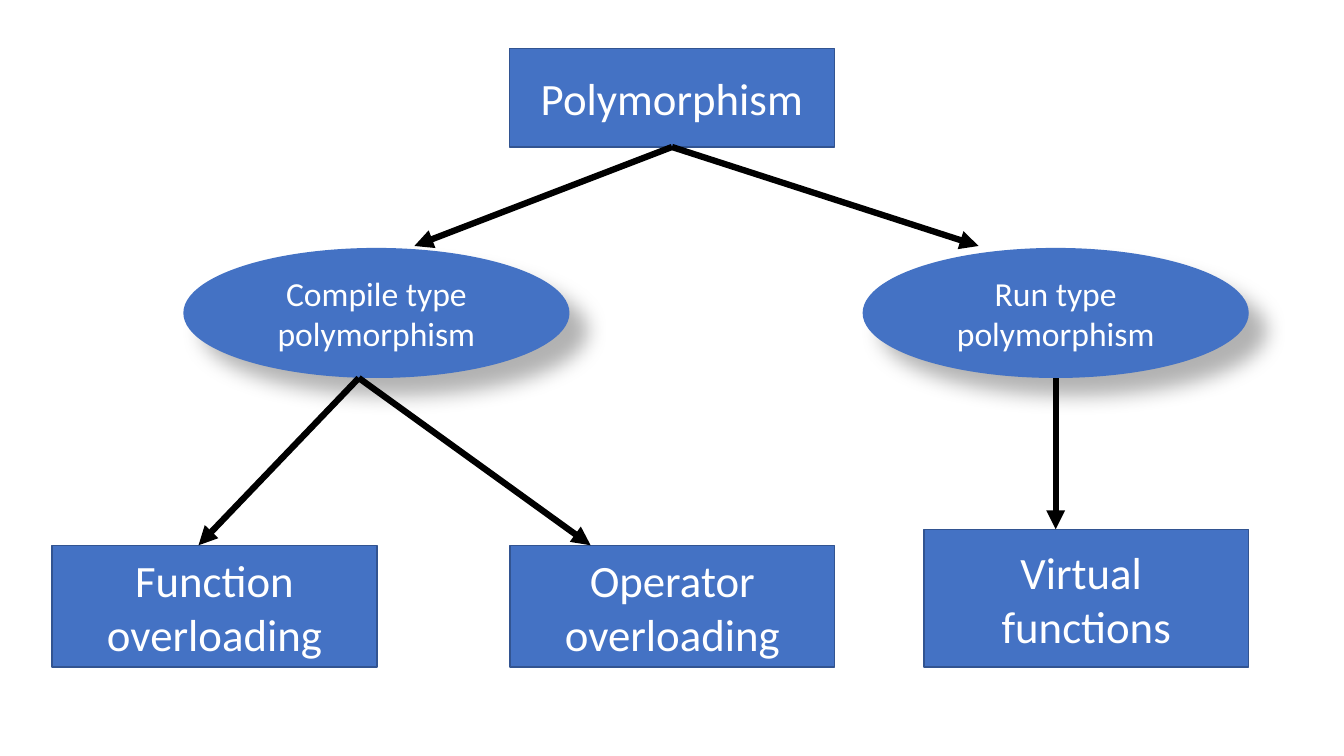
import pptx
import pptx.util
import pptx.dml.color
import pptx.enum.shapes
import pptx.enum.text
import pptx.oxml

Pt = pptx.util.Pt
Kind = pptx.enum.shapes.MSO_SHAPE
NS = 'xmlns:a="http://schemas.openxmlformats.org/drawingml/2006/main"'
SHADE = (
    f'<a:effectLst {NS}><a:outerShdw blurRad="{Pt(15)}" dist="{Pt(18)}" dir="2700000" '
    'algn="tl" rotWithShape="0"><a:srgbClr val="000000"><a:alpha val="30000"/>'
    '</a:srgbClr></a:outerShdw></a:effectLst>'
)
WIDE = 232
OVAL = (275.8, 92.9)


def color(code):
    return pptx.dml.color.RGBColor.from_string(code)


def node(slide, kind, box, lines, size):
    shape = slide.shapes.add_shape(kind, *map(Pt, box))
    shape.shadow.inherit = False
    shape.fill.solid()
    shape.fill.fore_color.rgb = color("4472C4")
    frame = shape.text_frame
    frame.word_wrap = True
    frame.vertical_anchor = pptx.enum.text.MSO_ANCHOR.MIDDLE
    for i, line in enumerate(lines):
        para = frame.add_paragraph() if i else frame.paragraphs[0]
        para.alignment = pptx.enum.text.PP_ALIGN.CENTER
        run = para.add_run()
        run.text = line
        run.font.name = "Calibri"
        run.font.size = Pt(size)
        run.font.color.rgb = color("FFFFFF")
    return shape


def block(slide, box, *lines):
    shape = node(slide, Kind.RECTANGLE, box, lines, 32)
    shape.line.color.rgb = color("325491")
    shape.line.width = Pt(1)


def oval(slide, box, text):
    shape = node(slide, Kind.OVAL, box, [text], 24)
    shape.line.fill.background()
    props = shape._element.spPr
    props.remove(props.find(pptx.oxml.ns.qn("a:effectLst")))
    props.append(pptx.oxml.parse_xml(SHADE))


def arrow(slide, start, end):
    link = slide.shapes.add_connector(
        pptx.enum.shapes.MSO_CONNECTOR.STRAIGHT, *map(Pt, (*start, *end))
    )
    link.line.color.rgb = color("000000")
    link.line.width = Pt(4.5)
    link.line._get_or_add_ln().append(pptx.oxml.parse_xml(f'<a:tailEnd {NS} type="triangle"/>'))
    link._element.spPr.append(pptx.oxml.parse_xml(f"<a:effectLst {NS}/>"))


def root(slide, x, y):
    high = 70.5
    block(slide, (x, y, WIDE, high), "Polymorphism")
    start = (x + WIDE / 2, y + high)
    for shift in (-184, 219):
        arrow(slide, start, (start[0] + shift, start[1] + 70.7))


def compile_side(slide, x, y):
    oval(slide, (x + 93.7, y, *OVAL), "Compile type polymorphism")
    low = y + 212.4
    for left, word in ((x, "Function"), (x + 327, "Operator")):
        block(slide, (left, low, WIDE, 87), f"{word} overloading")
    start = (x + 219, y + OVAL[1])
    for tip in (x + 104.5, x + 384.6):
        arrow(slide, start, (tip, low))


def run_side(slide, x, y):
    oval(slide, (x, y, *OVAL), "Run type polymorphism")
    low = y + 201
    block(slide, (x + OVAL[0] - WIDE, low, WIDE, 98.4), "Virtual ", "functions")
    mid = x + OVAL[0] / 2
    arrow(slide, (mid, y + OVAL[1]), (mid, low))


def main():
    deck = pptx.Presentation()
    deck.slide_width, deck.slide_height = Pt(960), Pt(540)
    slide = deck.slides.add_slide(deck.slide_layouts[6])
    root(slide, 364, 34.5)
    compile_side(slide, 37.3, 177.1)
    run_side(slide, 616.2, 177.1)
    deck.save("out.pptx")


if __name__ == "__main__":
    main()
